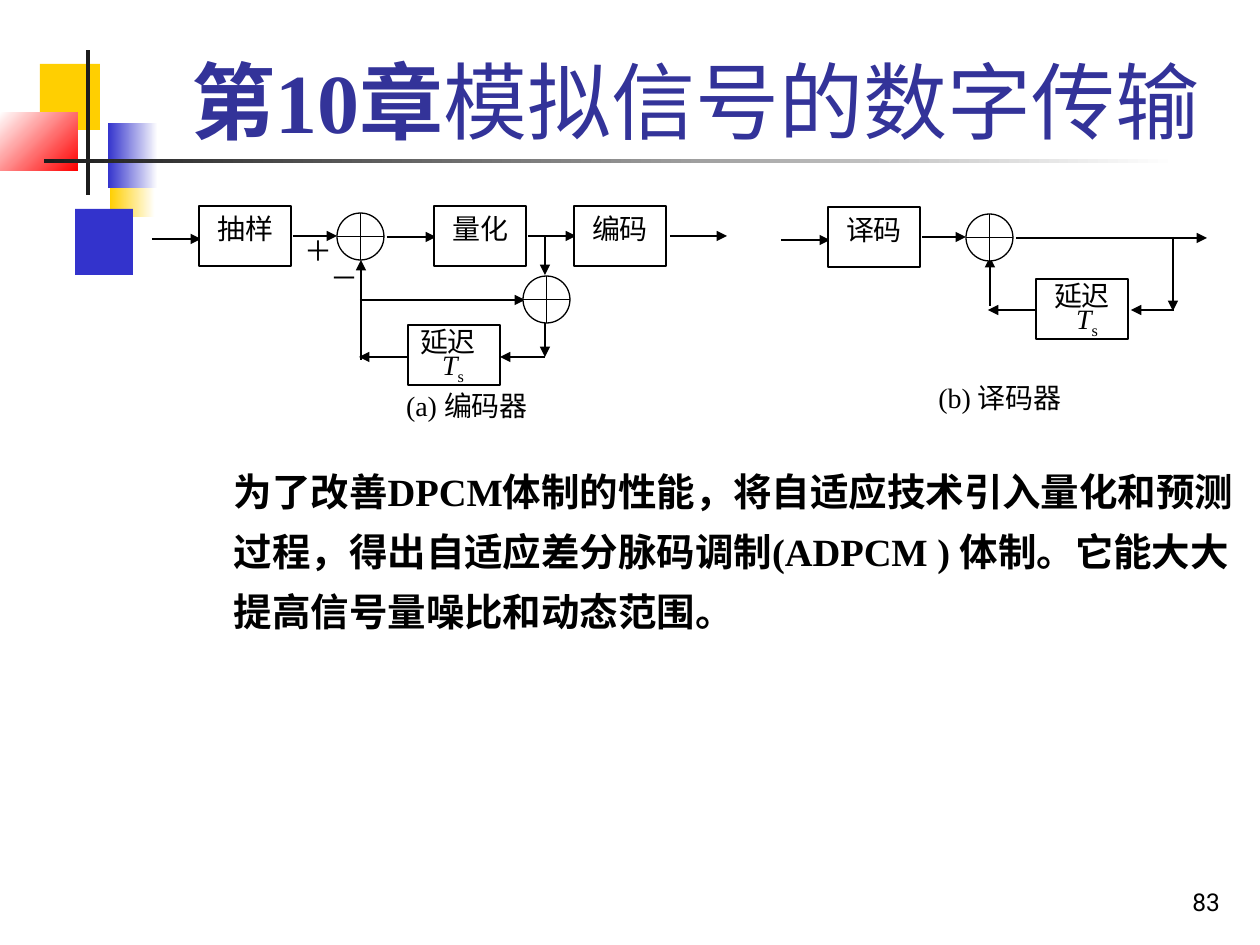
"""Build the slide on DPCM encoder and decoder block diagrams."""
import lxml.etree
import pptx
import pptx.dml.color
import pptx.enum.shapes
import pptx.enum.text
import pptx.oxml.ns
import pptx.util

RGB = pptx.dml.color.RGBColor
SHAPE = pptx.enum.shapes.MSO_SHAPE
ALIGN = pptx.enum.text.PP_ALIGN
ANCHOR = pptx.enum.text.MSO_ANCHOR
BLACK, WHITE = RGB(0, 0, 0), RGB(255, 255, 255)
YELLOW, BLUE, RED = RGB(0xFF, 0xCF, 0x01), RGB(0x33, 0x33, 0xCC), RGB(0xFF, 0, 0)
CHARCOAL, NAVY = RGB(0x1C, 0x1C, 0x1C), RGB(0x33, 0x33, 0x99)
SERIF, SANS = "Times New Roman", "Roboto"
PX = 914400 // 126
INSETS = (13, 6)

TITLE = [("第10章", True), ("模拟信号的数字传输", False)]
BODY = ("为了改善DPCM体制的性能，将自适应技术引入量化和预测过程，"
        "得出自适应差分脉码调制(ADPCM ) 体制。它能大大提高信号量噪比和动态范围。")

DECORATIONS = [
    ((110, 151, 45, 66), (YELLOW, WHITE), 0),
    ((75, 209, 58, 66), (BLUE,), 0),
    ((40, 64, 60, 66), (YELLOW,), 0),
    ((108, 123, 50, 65), (BLUE, WHITE), 0),
    ((0, 112, 78, 59), (WHITE, RED), 315),
    ((86, 50, 4, 145), (CHARCOAL,), 0),
    ((44, 159, 1134, 4), (CHARCOAL, WHITE), 0),
]

BLOCK_SIZE = (92, 60)
BLOCKS = [
    ("抽样", (199, 206), INSETS, ALIGN.CENTER),
    ("量化", (434, 206), INSETS, ALIGN.CENTER),
    ("编码", (574, 206), INSETS, ALIGN.CENTER),
    ("延迟", (408, 325), (12, 0), ALIGN.LEFT),
    ("译码", (828, 207), INSETS, ALIGN.CENTER),
    ("延迟", (1036, 279), (0, 0), ALIGN.CENTER),
]
ADDER_SIZE = (47, 47)
ADDERS = [(337, 213), (523, 276), (966, 214)]

ARROWS = [
    ((152, 239), (201, 239)), ((293, 236), (337, 236)),
    ((387, 237), (436, 237)), ((528, 236), (576, 236)),
    ((670, 236), (727, 236)), ((545, 236), (545, 275)),
    ((545, 320), (545, 357)), ((545, 357), (500, 357)),
    ((408, 357), (359, 357)), ((361, 360), (361, 260)),
    ((360, 300), (525, 300)),
    ((781, 240), (830, 240)), ((922, 237), (966, 237)),
    ((1016, 238), (1207, 238)), ((1173, 237), (1173, 311)),
    ((1174, 310), (1131, 310)), ((1036, 310), (988, 310)),
    ((990, 306), (990, 257)),
]

LABELS = [
    ("＋", (292, 228, 59, 52), ALIGN.LEFT),
    ("－", (318, 255, 59, 52), ALIGN.LEFT),
    ("(a) 编码器", (392, 383, 150, 53), ALIGN.CENTER),
    ("(b) 译码器", (925, 375, 150, 53), ALIGN.CENTER),
]
DELAY_SYMBOLS = [(415, 342, 76, 52), (1049, 296, 76, 52)]


def scaled(lengths):
    return [pptx.util.Emu(length * PX) for length in lengths]


def place(shape, frame):
    shape.left, shape.top, shape.width, shape.height = scaled(frame)


def prepare(shape, insets=INSETS, anchor=ANCHOR.TOP):
    frame = shape.text_frame
    frame.word_wrap = True
    frame.auto_size = pptx.enum.text.MSO_AUTO_SIZE.NONE
    frame.vertical_anchor = anchor
    frame.margin_left, frame.margin_top = scaled(insets)
    frame.margin_right, frame.margin_bottom = scaled(insets)
    return frame.paragraphs[0]


def style(para, size, color=BLACK, name=SERIF, align=ALIGN.LEFT, bold=None):
    para.alignment = align
    para.font.size = pptx.util.Pt(size)
    para.font.name = name
    para.font.color.rgb = color
    para.font.bold = bold


def add_shape(slide, kind, frame, colors, angle=0, outlined=False):
    shape = slide.shapes.add_shape(kind, *scaled(frame))
    shape.shadow.inherit = False
    if len(colors) == 1:
        shape.fill.solid()
        shape.fill.fore_color.rgb = colors[0]
    else:
        shape.fill.gradient()
        shape.fill.gradient_angle = angle
        for stop, color in zip(shape.fill.gradient_stops, colors):
            stop.color.rgb = color
    if outlined:
        shape.line.color.rgb = BLACK
        shape.line.width = pptx.util.Pt(0.75)
    else:
        shape.line.fill.background()
    return shape


def add_text_box(slide, frame, anchor=ANCHOR.TOP):
    return prepare(slide.shapes.add_textbox(*scaled(frame)), anchor=anchor)


def add_arrow(slide, start, end):
    arrow = slide.shapes.add_connector(
        pptx.enum.shapes.MSO_CONNECTOR.STRAIGHT, *scaled(start + end))
    arrow.line.color.rgb = BLACK
    arrow.line.width = pptx.util.Pt(0.75)
    qn = pptx.oxml.ns.qn
    lxml.etree.SubElement(arrow.line._get_or_add_ln(), qn("a:tailEnd"), type="triangle")
    lxml.etree.SubElement(arrow._element.spPr, qn("a:effectLst"))


def fill_placeholders(slide):
    title, body = slide.shapes.title, slide.placeholders[1]
    place(title, (159, 29, 1074, 127))
    para = prepare(title, (0, 6), ANCHOR.BOTTOM)
    style(para, 48, NAVY, align=ALIGN.CENTER)
    for text, bold in TITLE:
        span = para.add_run()
        span.text = text
        span.font.bold = bold

    place(body, (234, 454, 1015, 485))
    para = prepare(body, (0, 0))
    properties = para._p.get_or_add_pPr()
    properties.set("marL", "0")
    properties.set("indent", "0")
    lxml.etree.SubElement(properties, pptx.oxml.ns.qn("a:buNone"))
    para.text = BODY
    para.space_before = pptx.util.Pt(0)
    para.line_spacing = 1.3
    style(para, 22, bold=True)


def draw_diagrams(slide):
    for start, end in ARROWS:
        add_arrow(slide, start, end)
    for corner in ADDERS:
        add_shape(slide, SHAPE.FLOWCHART_OR, corner + ADDER_SIZE, (WHITE,), outlined=True)
    for text, corner, insets, align in BLOCKS:
        block = add_shape(slide, SHAPE.RECTANGLE, corner + BLOCK_SIZE, (WHITE,), outlined=True)
        para = prepare(block, insets)
        para.text = text
        style(para, 16, align=align)
    for text, frame, align in LABELS:
        para = add_text_box(slide, frame)
        para.text = text
        style(para, 16, align=align)
    for frame in DELAY_SYMBOLS:
        para = add_text_box(slide, frame)
        style(para, 16, align=ALIGN.CENTER)
        symbol, subscript = para.add_run(), para.add_run()
        symbol.text, subscript.text = "T", "s"
        symbol.font.italic = True
        subscript.font._element.set("baseline", "-25000")


def main():
    deck = pptx.Presentation()
    deck.slide_width, deck.slide_height = scaled((1260, 945))
    slide = deck.slides.add_slide(deck.slide_layouts[1])
    for frame, colors, angle in DECORATIONS:
        add_shape(slide, SHAPE.RECTANGLE, frame, colors, angle)
    fill_placeholders(slide)
    draw_diagrams(slide)
    number = add_text_box(slide, (971, 859, 262, 63), ANCHOR.BOTTOM)
    number.text = "83"
    style(number, 14, name=SANS, align=ALIGN.RIGHT)
    deck.save("out.pptx")


if __name__ == "__main__":
    main()
